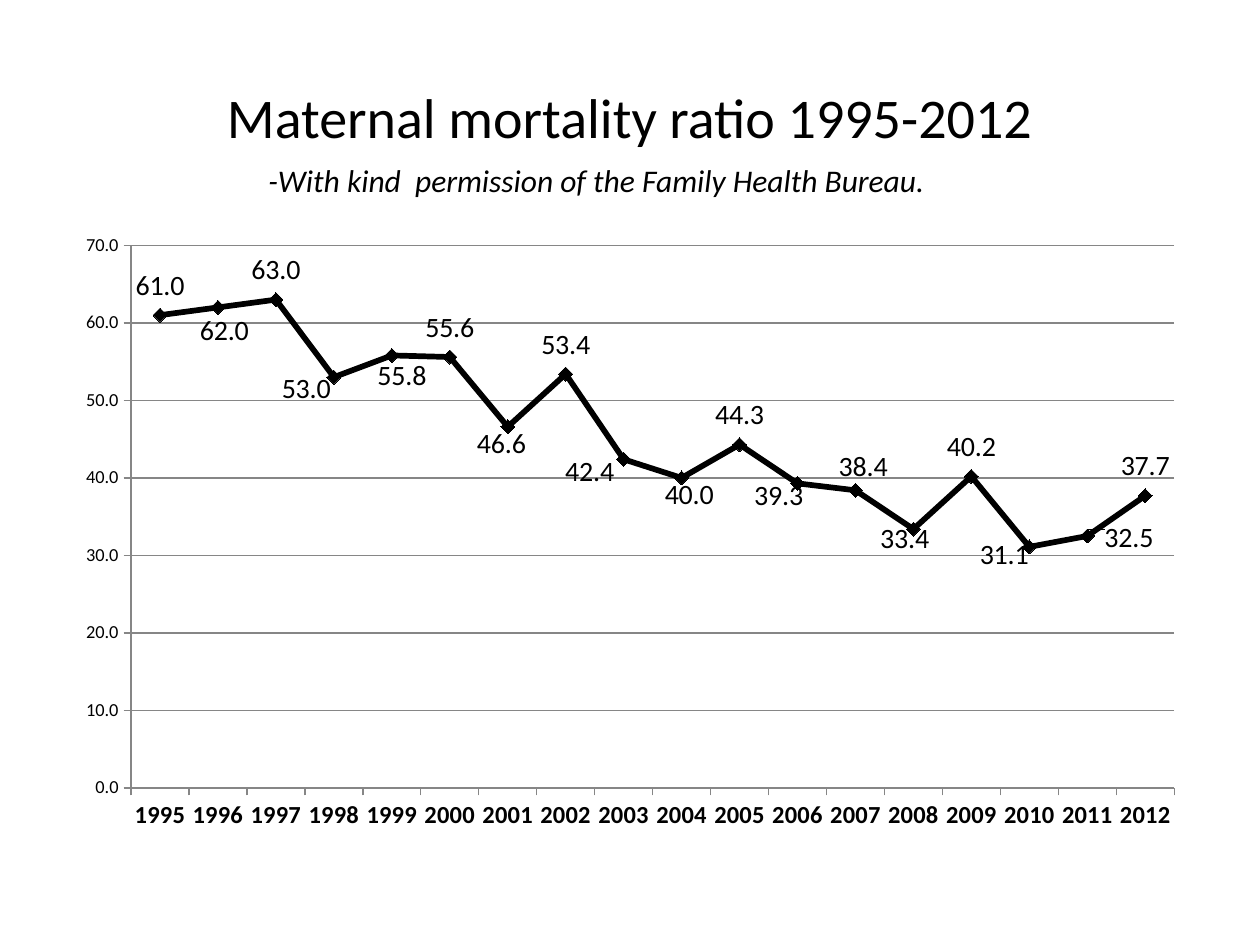
import pptx
import pptx.chart.data
import pptx.enum.chart
import pptx.enum.text
import pptx.util
from lxml import etree
from pptx.dml.color import RGBColor
from pptx.util import Inches

COLORS = {"ink": "000000", "grid": "868686", "paper": "FFFFFF"}
FONT = "Calibri"
CHART_NS = "http://schemas.openxmlformats.org/drawingml/2006/chart"

FIRST_YEAR = 1995
RATIOS = [61, 62, 63, 53, 55.8, 55.6, 46.6, 53.4, 42.4,
          40, 44.3, 39.3, 38.4, 33.4, 40.2, 31.1, 32.5, 37.7]

# Labels moved off the line: year -> shift right and down, in inches
LABEL_SHIFTS = {
    1996: (0.05, 0.42), 1998: (-0.22, 0.33), 1999: (0.08, 0.4),
    2001: (-0.05, 0.37), 2003: (-0.27, 0.33), 2004: (0.06, 0.37),
    2006: (-0.15, 0.33), 2007: (0.06, 0.05), 2008: (-0.07, 0.31),
    2010: (-0.2, 0.3), 2011: (0.33, 0.25),
}


def rgb(name):
    return RGBColor.from_string(COLORS[name])


def set_font(font, size, bold=False, italic=False):
    font.name = FONT
    font.size = pptx.util.Pt(size)
    font.bold = bold
    font.italic = italic
    font.color.rgb = rgb("ink")


def add_text(page, text, left, top, width, height, size, italic=False,
             align="LEFT", anchor="TOP", indent=0.1):
    box = page.shapes.add_textbox(Inches(left), Inches(top), Inches(width), Inches(height))
    frame = box.text_frame
    frame.word_wrap = True
    frame.margin_left = Inches(indent)
    frame.vertical_anchor = getattr(pptx.enum.text.MSO_ANCHOR, anchor)
    para = frame.paragraphs[0]
    para.alignment = getattr(pptx.enum.text.PP_ALIGN, align)
    span = para.add_run()
    span.text = text
    set_font(span.font, size, italic=italic)


def make_layout(**values):
    """Manual chart layout; values are fractions of the chart."""
    layout = etree.Element(f"{{{CHART_NS}}}layout")
    manual = etree.SubElement(layout, f"{{{CHART_NS}}}manualLayout")
    for tag, value in values.items():
        etree.SubElement(manual, f"{{{CHART_NS}}}{tag}").set("val", str(value))
    return layout


def place_plot(chart):
    area = chart.element.find(f".//{{{CHART_NS}}}plotArea")
    for old in area.findall(f"{{{CHART_NS}}}layout"):
        area.remove(old)
    area.insert(0, make_layout(layoutTarget="inner", xMode="edge", yMode="edge",
                               x=0.06, y=0.04, w=0.92, h=0.87))


def style_axis(axis, size, bold=False):
    axis.major_tick_mark = pptx.enum.chart.XL_TICK_MARK.OUTSIDE
    axis.minor_tick_mark = pptx.enum.chart.XL_TICK_MARK.NONE
    set_font(axis.tick_labels.font, size, bold=bold)
    axis.format.line.color.rgb = rgb("grid")
    axis.format.line.width = pptx.util.Pt(0.75)


def style_series(series):
    series.smooth = False
    series.format.line.color.rgb = rgb("ink")
    series.format.line.width = pptx.util.Pt(3.25)
    series.marker.style = pptx.enum.chart.XL_MARKER_STYLE.DIAMOND
    series.marker.size = 8
    series.marker.format.fill.solid()
    series.marker.format.fill.fore_color.rgb = rgb("ink")
    series.marker.format.line.color.rgb = rgb("ink")


def label_points(series, width, height):
    above = pptx.enum.chart.XL_LABEL_POSITION.ABOVE
    labels = series.data_labels
    labels.show_value = True
    labels.number_format = "0.0"
    labels.number_format_is_linked = False
    labels.position = above
    set_font(labels.font, 16)
    for year in LABEL_SHIFTS:
        label = series.points[year - FIRST_YEAR].data_label
        set_font(label.font, 16)
        label.position = above
    for item in series._element.iter(f"{{{CHART_NS}}}dLbl"):
        index = item.find(f"{{{CHART_NS}}}idx")
        right, down = LABEL_SHIFTS[FIRST_YEAR + int(index.get("val"))]
        index.addnext(make_layout(x=round(right / width, 4), y=round(down / height, 4)))


def add_ratio_chart(page, left, top, width, height):
    data = pptx.chart.data.CategoryChartData(number_format="0.0")
    data.categories = [str(FIRST_YEAR + i) for i in range(len(RATIOS))]
    data.add_series("Series 1", RATIOS)
    chart = page.shapes.add_chart(
        pptx.enum.chart.XL_CHART_TYPE.LINE_MARKERS,
        Inches(left), Inches(top), Inches(width), Inches(height), data).chart
    chart.has_legend = False
    chart.has_title = False
    set_font(chart.font, 10)
    place_plot(chart)

    # Axes and gridlines
    style_axis(chart.category_axis, 14, bold=True)
    values = chart.value_axis
    style_axis(values, 10.5)
    values.minimum_scale, values.maximum_scale, values.major_unit = 0, 70, 10
    values.tick_labels.number_format = "0.0"
    values.tick_labels.number_format_is_linked = False
    values.has_major_gridlines = True
    values.major_gridlines.format.line.color.rgb = rgb("grid")
    values.major_gridlines.format.line.width = pptx.util.Pt(0.75)

    # Line and its labels
    plot = chart.plots[0]
    plot.vary_by_categories = False
    style_series(plot.series[0])
    label_points(plot.series[0], width, height)


def add_heading(page, left, top, width):
    add_text(page, "Maternal mortality ratio 1995-2012", left, top, width, 1.25,
             size=32, align="CENTER", anchor="MIDDLE")
    add_text(page, "-With kind  permission of the Family Health Bureau.",
             left + 0.8, top + 0.93, 6.2, 0.4, size=18, italic=True, indent=0.83)


def main():
    deck = pptx.Presentation()
    deck.slide_width, deck.slide_height = Inches(10), Inches(7.5)
    page = deck.slides.add_slide(deck.slide_layouts[6])
    page.background.fill.solid()
    page.background.fill.fore_color.rgb = rgb("paper")
    add_ratio_chart(page, 0.5, 1.75, 9, 4.95)
    add_heading(page, 0.5, 0.3, 9)
    deck.save("out.pptx")


if __name__ == "__main__":
    main()
